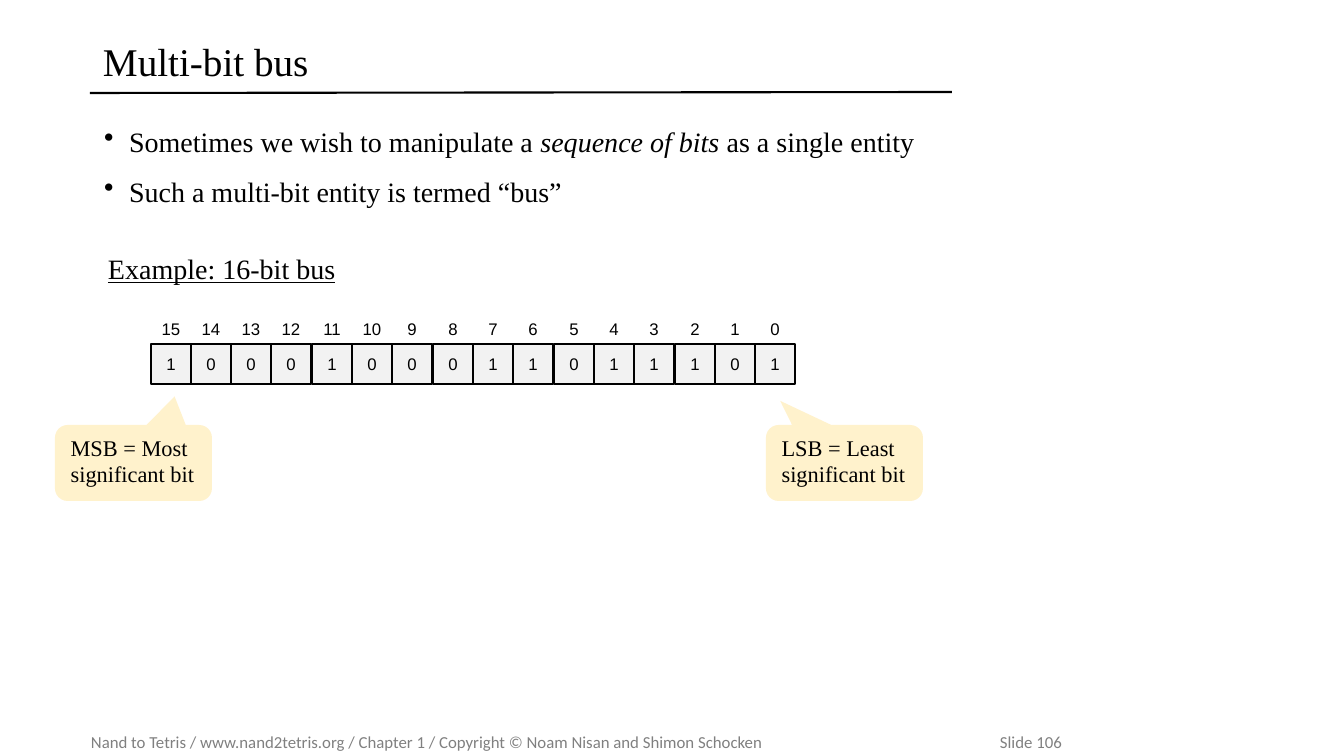
from dataclasses import dataclass
from typing import Any, NamedTuple

from lxml import etree
from pptx import Presentation, util as u
from pptx.dml.color import RGBColor
from pptx.enum import shapes, text
from pptx.oxml import ns

EMU_PER_INCH = 914400
PX_PER_INCH = 100.8


@dataclass(frozen=True)
class Theme:
    ink: str = "000000"
    muted: str = "808080"
    paper: str = "FFFFFF"
    cell: str = "F2F2F2"
    callout: str = "FFF2CC"
    serif: str = "Times New Roman"
    mono: str = "DejaVu Sans Mono"
    sans: str = "Calibri"
    digits: str = "Arial"
    title_size: int = 28
    body_size: int = 20
    callout_size: int = 16
    small_size: int = 12


class Box(NamedTuple):
    left: int
    top: int
    width: int
    height: int


class Run(NamedTuple):
    text: str
    italic: bool = False


class BitCallout(NamedTuple):
    label: str
    left: int
    tip: tuple[float, float]


THEME = Theme()
BITS = "1000100011011101"
BUS_LEFT, BUS_WIDTH, CELL = 151, 645, 40
INDEX_TOP, BITS_TOP = 309, 344

BULLETS = [
    [Run("Sometimes we wish to manipulate a "), Run("sequence of bits", italic=True),
     Run(" as a single entity")],
    [Run("Such a multi-bit entity is termed “bus”")],
]
CALLOUTS = [
    BitCallout("LSB = Least significant bit", 766, (-0.409, -0.818)),
    BitCallout("MSB = Most significant bit", 55, (0.262, -0.876)),
]


def px(length: float) -> int:
    return round(length * EMU_PER_INCH / PX_PER_INCH)


def place(box: Box) -> list[int]:
    return [px(length) for length in box]


def write(shape: Any, paragraphs: list[list[Run]], *, size: int, font: str = THEME.serif,
          color: str = THEME.ink, anchor: Any = text.MSO_ANCHOR.TOP, align: Any = None,
          margins: tuple[int, int, int, int] = (10, 5, 10, 5), wrap: bool = True,
          spacing: float | None = None, gap: int = 0, bullet: str = "", tab: int = 0,
          underline: bool = False, rtl: bool = False) -> None:
    frame = shape.text_frame
    frame.word_wrap = wrap
    frame.vertical_anchor = anchor
    frame.margin_left, frame.margin_top, frame.margin_right, frame.margin_bottom = place(Box(*margins))
    for number, runs in enumerate(paragraphs):
        paragraph = frame.add_paragraph() if number else frame.paragraphs[0]
        properties = paragraph._p.get_or_add_pPr()
        if bullet:
            properties.set("marL", str(px(25)))
            properties.set("indent", str(-px(25)))
            etree.SubElement(properties, ns.qn("a:buChar"), char=bullet)
        if tab:
            stops = etree.SubElement(properties, ns.qn("a:tabLst"))
            etree.SubElement(stops, ns.qn("a:tab"), pos=str(px(tab)), algn="l")
        if rtl:
            properties.set("rtl", "1")
        paragraph.alignment = align
        paragraph.line_spacing = spacing
        if number and gap:
            paragraph.space_before = u.Pt(gap)
        for part in runs:
            run = paragraph.add_run()
            run.text = part.text
            run.font.size = u.Pt(size)
            run.font.name = font
            run.font.color.rgb = RGBColor.from_string(color)
            if part.italic:
                run.font.italic = True
            if underline:
                run.font.underline = True
            if rtl:
                etree.SubElement(run.font._rPr, ns.qn("a:cs"), typeface=THEME.digits)


def add_block(parent: Any, kind: Any, box: Box, fill: str, outline: str = "") -> Any:
    block = parent.add_shape(kind, *place(box))
    block.shadow.inherit = False
    block.fill.solid()
    block.fill.fore_color.rgb = RGBColor.from_string(fill)
    if outline:
        block.line.color.rgb = RGBColor.from_string(outline)
        block.line.width = u.Pt(1)
    else:
        block.line.fill.background()
    return block


def add_cell(parent: Any, column: int, top: int, label: str, font: str, fill: str,
             outline: str = "", wrap: bool = True) -> None:
    left = BUS_LEFT + column * BUS_WIDTH // len(BITS)
    cell = add_block(parent, shapes.MSO_SHAPE.RECTANGLE, Box(left, top, CELL, CELL), fill, outline)
    write(cell, [[Run(label)]], size=THEME.small_size, font=font, wrap=wrap, rtl=True,
          anchor=text.MSO_ANCHOR.MIDDLE, align=text.PP_ALIGN.CENTER)


def add_callout(parent: Any, callout: BitCallout) -> None:
    bubble = add_block(parent, shapes.MSO_SHAPE.ROUNDED_RECTANGULAR_CALLOUT,
                       Box(callout.left, 425, 157, 76), THEME.callout)
    for position, value in enumerate((*callout.tip, 0.167)):
        bubble.adjustments[position] = value
    write(bubble, [[Run(callout.label)]], size=THEME.callout_size, margins=(12, 5, 10, 5),
          align=text.PP_ALIGN.LEFT)


def main() -> None:
    deck = Presentation()
    deck.slide_width, deck.slide_height = px(1344), px(756)
    canvas = deck.slides.add_slide(deck.slide_layouts[6]).shapes

    # Footer
    footer = canvas.add_textbox(*place(Box(91, 727, 1235, 30)))
    credit = "Nand to Tetris / www.nand2tetris.org / Chapter 1 / Copyright © Noam Nisan and Shimon Schocken"
    write(footer, [[Run(f"{credit}\tSlide 106")]], size=THEME.small_size, font=THEME.sans,
          color=THEME.muted, anchor=text.MSO_ANCHOR.MIDDLE, margins=(0, 5, 0, 5), tab=909)

    # Title and its rule
    rule = canvas.add_connector(shapes.MSO_CONNECTOR.STRAIGHT, px(90), px(93), px(952), px(92))
    rule.line.color.rgb = RGBColor.from_string(THEME.ink)
    rule.line.width = u.Pt(1.5)
    etree.SubElement(rule._element.spPr, ns.qn("a:effectLst"))
    title = canvas.add_textbox(*place(Box(93, 32, 860, 64)))
    write(title, [[Run("Multi-bit bus")]], size=THEME.title_size, spacing=0.9,
          anchor=text.MSO_ANCHOR.MIDDLE)

    # Callouts for the outer bits
    callout_group = canvas.add_group_shape().shapes
    for callout in CALLOUTS:
        add_callout(callout_group, callout)

    # Example bus: bit numbers above, bit values below
    bus = canvas.add_group_shape().shapes
    for column in range(len(BITS)):
        add_cell(bus, column, INDEX_TOP, str(len(BITS) - 1 - column), THEME.serif,
                 THEME.paper, wrap=False)
    example = bus.add_textbox(*place(Box(98, 250, 266, 73)))
    write(example, [[Run("Example: 16-bit bus")]], size=THEME.body_size, spacing=0.9,
          underline=True)
    for column, bit in enumerate(BITS):
        add_cell(bus, column, BITS_TOP, bit, THEME.mono, THEME.cell, outline=THEME.ink)

    # Bullets
    body = canvas.add_textbox(*place(Box(94, 119, 857, 109)))
    write(body, BULLETS, size=THEME.body_size, bullet="•", gap=12)

    deck.save("out.pptx")


if __name__ == "__main__":
    main()
